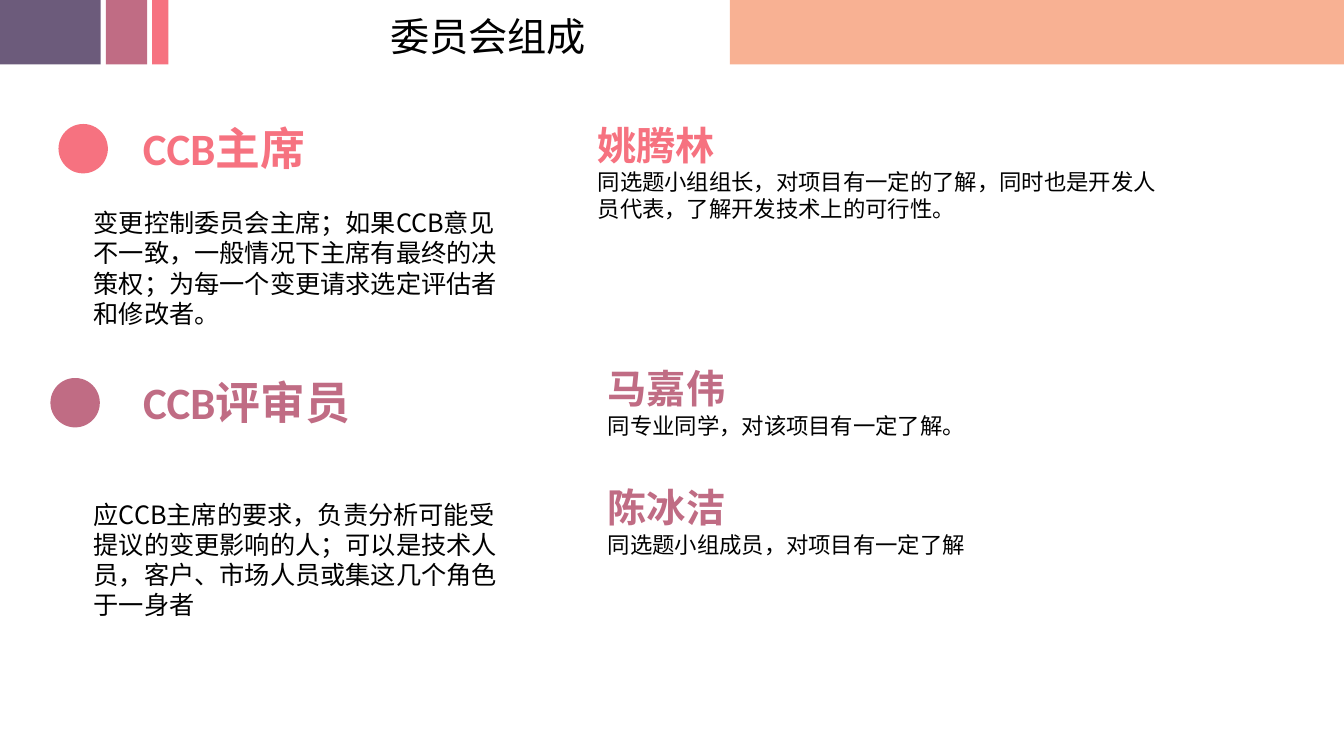
from pptx import Presentation
from pptx.dml.color import RGBColor as RGB
from pptx.enum.shapes import MSO_SHAPE as Kind
from pptx.enum.text import MSO_ANCHOR as Anchor, MSO_AUTO_SIZE as Fit, PP_ALIGN as Align
from pptx.oxml.ns import qn
from pptx.util import Inches, Pt
from lxml.etree import SubElement as Sub

HAN = "Noto Sans CJK SC"
ROSE, MAUVE, PLUM, PEACH = "F67280", "C06C84", "6C5B7B", "F8B193"
BARS = [(7.24, 6.09, PEACH), (0, 1, PLUM), (1.05, 0.41, MAUVE), (1.51, 0.16, ROSE)]
ROLES = [
    (0.58, 1.23, 3.54, 2.01, ROSE, "CCB主席",
     "变更控制委员会主席；如果CCB意见不一致，一般情况下主席有最终的决策权；"
     "为每一个变更请求选定评估者和修改者。"),
    (0.5, 3.75, 2.31, 4.9, MAUVE, "CCB评审员",
     "应CCB主席的要求，负责分析可能受提议的变更影响的人；"
     "可以是技术人员，客户、市场人员或集这几个角色于一身者"),
]
PEOPLE = [
    (5.83, 1.15, 5.93, 1.51, ROSE, "姚腾林",
     "同选题小组组长，对项目有一定的了解，同时也是开发人员代表，了解开发技术上的可行性。"),
    (5.93, 3.57, 5.9, 0.84, MAUVE, "马嘉伟", "同专业同学，对该项目有一定了解。"),
    (5.93, 4.75, 5.9, 0.84, MAUVE, "陈冰洁", "同选题小组成员，对项目有一定了解"),
]


def tint(hue, part):
    """Give a fill or font colour format the colour of a hex string."""
    part.rgb = RGB.from_string(hue)


def place(item, x, y, w, h):
    """Move and size an item in inches."""
    item.left, item.top, item.width, item.height = map(Inches, (x, y, w, h))


def write(par, text, size=18, face=HAN, hue="000000", bold=False):
    """Add one formatted run to a paragraph."""
    run = par.add_run()
    run.text = text
    font = run.font
    font.size, font.name, font.bold = Pt(size), face, bold
    tint(hue, font.color)
    Sub(font._element, qn("a:ea")).set("typeface", HAN)


def block(slide, x, y, w, h):
    """Add a wrapping text box and return its frame."""
    frame = slide.shapes.add_textbox(*map(Inches, (x, y, w, h))).text_frame
    frame.word_wrap = True
    return frame


def shape(slide, kind, x, y, w, h, hue):
    """Add a plain filled shape."""
    item = slide.shapes.add_shape(kind, *map(Inches, (x, y, w, h)))
    item.shadow.inherit = False
    item.fill.solid()
    tint(hue, item.fill.fore_color)
    item.line.fill.background()


def head(slide, text):
    """Fill and place the title."""
    title = slide.shapes.title
    place(title, 3.77, 0.07, 2.17, 0.57)
    frame = title.text_frame
    frame.auto_size, frame.word_wrap = Fit.NONE, False
    frame.vertical_anchor = Anchor.TOP
    par = frame.paragraphs[0]
    par.alignment = Align.LEFT
    write(par, text, size=28)


def role(slide, x, y, wide, low, hue, name, duty):
    """Add a dot, a role name and its duty."""
    shape(slide, Kind.OVAL, x, y, 0.49, 0.49, hue)
    label = block(slide, 1.32, y - 0.08, wide, 0.64)
    write(label.paragraphs[0], name, size=32, face="Calibri", hue=hue, bold=True)
    write(block(slide, 0.83, low, 4.21, 1.31).paragraphs[0], duty)


def person(slide, x, y, w, h, hue, name, note):
    """Add a name with a note below it."""
    frame = block(slide, x, y, w, h)
    write(frame.paragraphs[0], name, size=28, face="Calibri", hue=hue, bold=True)
    write(frame.add_paragraph(), note, size=16)


def main():
    """Build and save the slide."""
    deck = Presentation()
    deck.slide_width, deck.slide_height = Inches(13.33), Inches(7.5)
    slide = deck.slides.add_slide(deck.slide_layouts[5])
    for x, w, hue in BARS:
        shape(slide, Kind.RECTANGLE, x, 0, w, 0.64, hue)
    head(slide, "委员会组成")
    for row in ROLES:
        role(slide, *row)
    for row in PEOPLE:
        person(slide, *row)
    deck.save("out.pptx")


if __name__ == "__main__":
    main()
